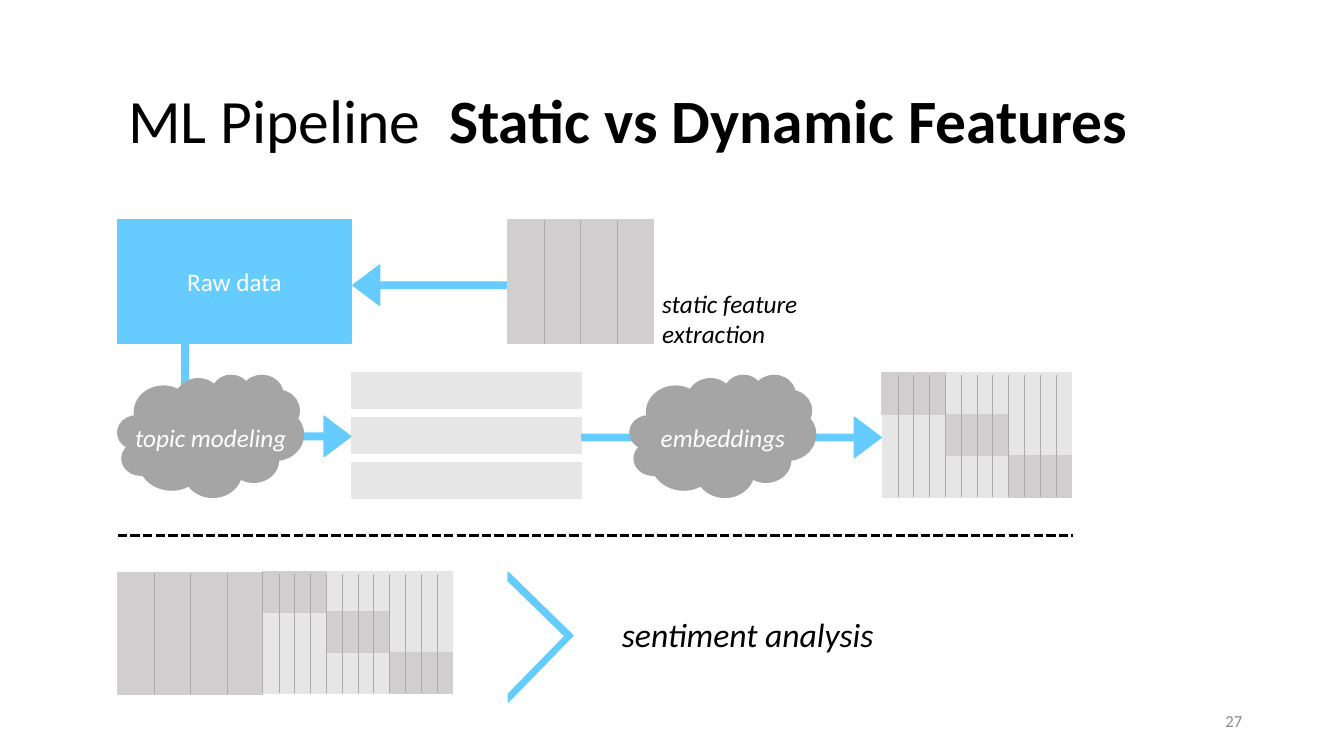
from lxml.etree import SubElement
from pptx import Presentation
from pptx.dml.color import RGBColor
from pptx.enum.dml import MSO_LINE
from pptx.enum.shapes import MSO_CONNECTOR, MSO_SHAPE
from pptx.enum.text import MSO_ANCHOR, MSO_AUTO_SIZE, PP_ALIGN
from pptx.oxml.ns import qn
from pptx.util import Inches, Pt

COLORS = {
    "black": "000000",
    "white": "FFFFFF",
    "blue": "66CCFF",
    "cloud": "A5A5A5",
    "feature": "D0CECE",
    "light": "E7E6E6",
    "divider": "AFABAB",
    "number": "8C8C8C",
}
FONT = "Calibri"
ARROW = (0.16, 0.665)


def color(name):
    return RGBColor.from_string(COLORS[name])


def add_run(paragraph, text, size, color_name, bold=False, italic=False):
    run = paragraph.add_run()
    run.text = text
    run.font.name = FONT
    run.font.size = Pt(size)
    run.font.bold = bold
    run.font.italic = italic
    run.font.color.rgb = color(color_name)


def add_title(slide, parts):
    title = slide.shapes.title
    title.left, title.top = Inches(1.17), Inches(0.61)
    title.width, title.height = Inches(11.25), Inches(1.23)
    frame = title.text_frame
    frame.auto_size = MSO_AUTO_SIZE.NONE
    frame.vertical_anchor = MSO_ANCHOR.MIDDLE
    paragraph = frame.paragraphs[0]
    paragraph.alignment = PP_ALIGN.LEFT
    paragraph.line_spacing = 0.9
    for text, bold in parts:
        add_run(paragraph, text, 44, "black", bold=bold)


def add_label(slide, box, text, size, color_name, alignment=PP_ALIGN.LEFT, italic=True):
    label = slide.shapes.add_textbox(*map(Inches, box))
    frame = label.text_frame
    frame.word_wrap = True
    frame.vertical_anchor = MSO_ANCHOR.MIDDLE
    paragraph = frame.paragraphs[0]
    paragraph.alignment = alignment
    add_run(paragraph, text, size, color_name, italic=italic)


def add_block(slide, preset, box, color_name, adjustments=(), rotation=0):
    shape = slide.shapes.add_shape(preset, *map(Inches, box))
    shape.shadow.inherit = False
    shape.fill.solid()
    shape.fill.fore_color.rgb = color(color_name)
    shape.line.color.rgb = color(color_name)
    shape.line.width = Pt(1)
    shape.rotation = rotation
    for index, value in enumerate(adjustments):
        shape.adjustments[index] = value
    return shape


def add_line(slide, start, end, color_name="divider", width=0.5):
    line = slide.shapes.add_connector(
        MSO_CONNECTOR.STRAIGHT, *map(Inches, (*start, *end))
    )
    line.line.color.rgb = color(color_name)
    line.line.width = Pt(width)
    SubElement(line._element.spPr, qn("a:effectLst"))
    return line


def add_dividers(slide, left, top, width, bottom, columns):
    for column in range(1, columns):
        x = left + width * column / columns
        add_line(slide, (x, top), (x, bottom))


def add_static_features(slide, left, top, height):
    width = 1.44
    add_block(slide, MSO_SHAPE.RECTANGLE, (left, top, width, height), "feature")
    add_dividers(slide, left, top, width, top + height, 4)


def add_dynamic_features(slide, left, top, height):
    width = 1.88
    add_block(slide, MSO_SHAPE.RECTANGLE, (left, top, width, height), "light")
    cell_width, cell_height = width / 3, height / 3
    for step in range(3):
        cell = (left + step * cell_width, top + step * cell_height, cell_width, cell_height)
        add_block(slide, MSO_SHAPE.RECTANGLE, cell, "feature")
    add_dividers(slide, left, top + 0.02, width, top + height, 12)


def add_cloud(slide, left, text):
    add_block(slide, MSO_SHAPE.CLOUD, (left, 3.72, 1.84, 1.21), "cloud")
    add_label(slide, (left - 0.02, 4.09, 1.88, 0.49), text, 18, "white", PP_ALIGN.CENTER)


def add_raw_data(slide):
    raw_data = add_block(slide, MSO_SHAPE.RECTANGLE, (1.17, 2.18, 2.31, 1.23), "blue")
    raw_data.text_frame.vertical_anchor = MSO_ANCHOR.MIDDLE
    paragraph = raw_data.text_frame.paragraphs[0]
    paragraph.alignment = PP_ALIGN.CENTER
    add_run(paragraph, "Raw data", 18, "white")


def main():
    presentation = Presentation()
    presentation.slide_width = Inches(13.33)
    presentation.slide_height = Inches(7.5)
    slide = presentation.slides.add_slide(presentation.slide_layouts[5])

    add_title(slide, [("ML Pipeline  ", False), ("Static vs Dynamic Features", True)])
    add_label(slide, (9.42, 6.95, 3, 0.4), "27", 12, "number", PP_ALIGN.RIGHT, italic=False)

    add_raw_data(slide)
    add_block(slide, MSO_SHAPE.LEFT_ARROW, (3.5, 2.63, 1.54, 0.4), "blue", ARROW)
    add_static_features(slide, 5.04, 2.18, 1.23)
    add_label(slide, (6.47, 2.87, 1.93, 0.58), "static feature extraction", 18, "black")

    for row in range(3):
        topic = (3.49, 3.7 + row * 0.445, 2.28, 0.35)
        add_block(slide, MSO_SHAPE.RECTANGLE, topic, "light")
    add_block(slide, MSO_SHAPE.RIGHT_ARROW, (1.84, 4.13, 1.64, 0.4), "blue", ARROW)
    add_block(slide, MSO_SHAPE.RIGHT_ARROW, (1.24, 3.8, 1.19, 0.4), "blue", ARROW, 90)
    add_cloud(slide, 1.17, "topic modeling")
    add_block(slide, MSO_SHAPE.RIGHT_ARROW, (5.77, 4.14, 2.97, 0.4), "blue", ARROW)
    add_cloud(slide, 6.25, "embeddings")
    add_dynamic_features(slide, 8.75, 3.7, 1.23)

    add_static_features(slide, 1.17, 5.68, 1.21)
    add_dynamic_features(slide, 2.61, 5.67, 1.21)
    add_line(slide, (2.6, 5.67), (2.6, 6.88))
    add_block(
        slide, MSO_SHAPE.HALF_FRAME, (4.58, 5.87, 0.92, 0.9), "blue", (0.06, 0.067), 134.3
    )
    add_label(slide, (6.07, 6, 3.04, 0.58), "sentiment analysis", 24, "black")

    separator = add_line(slide, (1.17, 5.31), (10.64, 5.31), "black", 2.25)
    separator.line.dash_style = MSO_LINE.SQUARE_DOT

    presentation.save("out.pptx")


if __name__ == "__main__":
    main()
